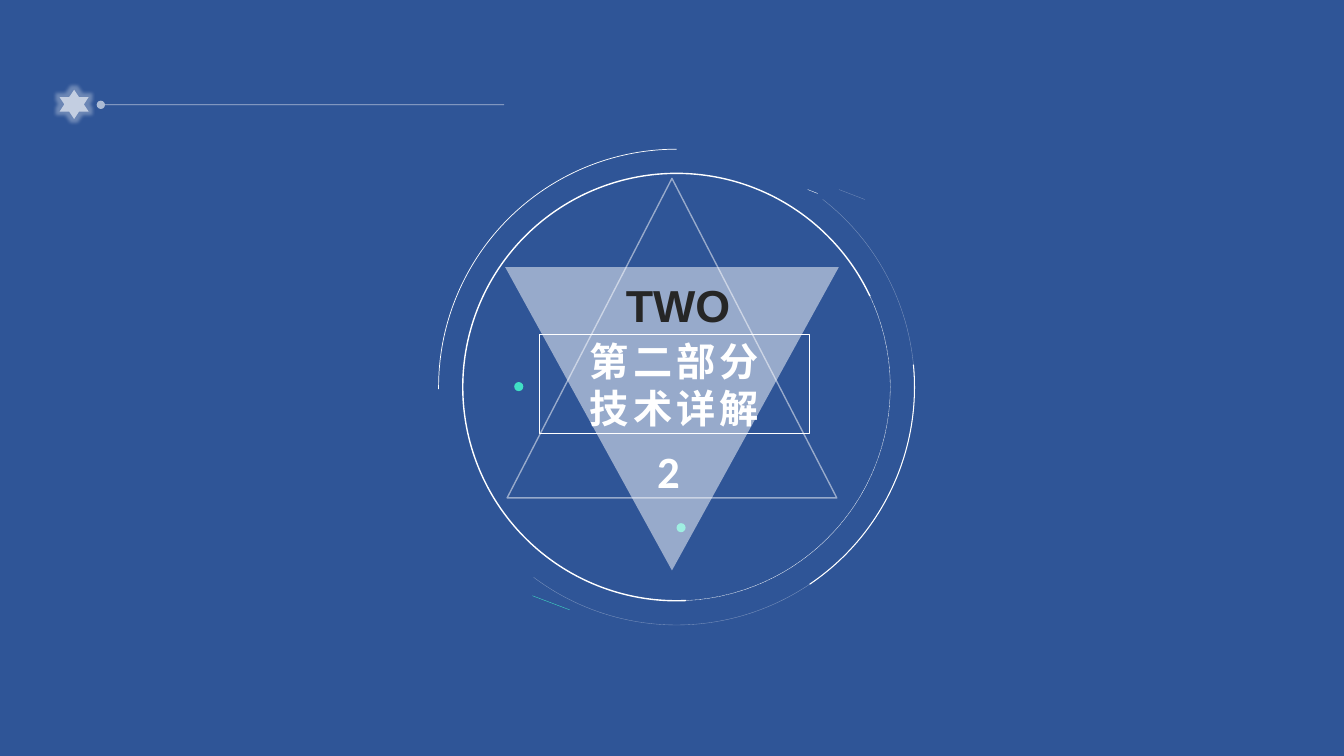
from lxml import etree
from pptx import Presentation
from pptx import util as u
from pptx.dml.color import RGBColor
from pptx.enum import dml, shapes, text
from pptx.oxml.ns import qn

WHITE = RGBColor(0xFF, 0xFF, 0xFF)
BLUE = RGBColor(0x2F, 0x55, 0x97)
MINT = RGBColor(0x40, 0xE0, 0xC5)
DARK = RGBColor(0x26, 0x26, 0x26)

CELL = u.Inches(0.1)
CENTRE = (67.1, 38.4)
INNER, OUTER = 21.2, 23.6
DOT = 0.45


def cells(*counts):
    """Turn counts of grid cells into lengths."""
    return [u.Emu(round(n * CELL)) for n in counts]


def set_alpha(colour_parent, percent):
    """Make a solid colour partly transparent."""
    if percent < 100:
        colour = next(colour_parent.iter(qn("a:srgbClr")))
        etree.SubElement(colour, qn("a:alpha"), val=str(percent * 1000))


def style_line(sp, colour, width, alpha=100):
    """Format the line of a shape or connector."""
    sp.line.color.rgb = colour
    sp.line.width = u.Pt(width)
    set_alpha(sp.line._ln, alpha)


def add_outline(s, kind, box, width, alpha=100):
    """Add an unfilled white shape."""
    sp = s.shapes.add_shape(kind, *cells(*box))
    sp.shadow.inherit = False
    sp.fill.background()
    style_line(sp, WHITE, width, alpha)
    return sp


def add_solid(s, kind, box, colour, alpha=100):
    """Add a filled shape without a line."""
    sp = s.shapes.add_shape(kind, *cells(*box))
    sp.shadow.inherit = False
    sp.fill.solid()
    sp.fill.fore_color.rgb = colour
    sp.line.fill.background()
    set_alpha(sp._element.spPr.find(qn("a:solidFill")), alpha)
    return sp


def circle_box(x, y, radius):
    """Return the box around a circle."""
    return x - radius, y - radius, 2 * radius, 2 * radius


def add_arc(s, radius, start, end, width, alpha=100):
    """Add a ring segment between two angles in degrees."""
    sp = add_outline(s, shapes.MSO_SHAPE.ARC, circle_box(*CENTRE, radius), width, alpha)
    for i, degrees in enumerate((start, end)):
        sp.adjustments[i] = degrees * 0.6
    return sp


def add_line(s, ends, colour, width, alpha=100):
    """Add a straight line."""
    sp = s.shapes.add_connector(shapes.MSO_CONNECTOR.STRAIGHT, *cells(*ends))
    style_line(sp, colour, width, alpha)
    etree.SubElement(sp._element.spPr, qn("a:effectLst"))
    return sp


def add_glow(sp, radius, alpha):
    """Put a soft white glow around a shape."""
    effects = sp._element.spPr.find(qn("a:effectLst"))
    glow = etree.SubElement(effects, qn("a:glow"), rad=str(u.Pt(radius)))
    colour = etree.SubElement(glow, qn("a:srgbClr"), val=str(WHITE))
    etree.SubElement(colour, qn("a:alpha"), val=str(alpha * 1000))


def format_text(tf, font, size, colour, spacing=0):
    """Centre the text and format its runs."""
    tf.word_wrap = True
    for p in tf.paragraphs:
        p.alignment = text.PP_ALIGN.CENTER
        for r in p.runs:
            r.font.name = font
            r.font.size = u.Pt(size)
            r.font.bold = True
            r.font.color.rgb = colour
            rPr = r._r.get_or_add_rPr()
            etree.SubElement(rPr, qn("a:ea"), typeface=font)
            if spacing:
                rPr.set("spc", str(spacing * 100))


def add_label(s, box, words, font, colour):
    """Add a large centred text box."""
    sp = s.shapes.add_textbox(*cells(*box))
    sp.text_frame.text = words
    format_text(sp.text_frame, font, 32, colour)


def add_header(s):
    """Draw the star and the line at the top left."""
    rule = add_line(s, (50, 10.4, 10, 10.4), WHITE, 0.5, 60)
    etree.SubElement(rule.line._ln, qn("a:tailEnd"), type="oval")
    star = add_solid(s, shapes.MSO_SHAPE.STAR_6_POINT, (5.9, 8.9, 2.9, 2.9), WHITE, 60)
    add_glow(star, 5, 30)


def add_rings(s):
    """Draw the ring segments and the short dashes around them."""
    add_arc(s, INNER, 87.4, 334.8, 1)
    dotted = add_arc(s, INNER, 330.8, 96.9, 0.25)
    dotted.line.dash_style = dml.MSO_LINE.ROUND_DOT
    quarter = add_arc(s, OUTER, 270, 0.5, 0.5)
    quarter._element.spPr.xfrm.set("flipH", "1")
    add_arc(s, OUTER, 307.9, 126.9, 0.25, 36)
    add_arc(s, OUTER, 354.6, 56, 0.75)
    add_line(s, (52.8, 59.1, 56.5, 60.5), MINT, 0.25)
    add_line(s, (83.2, 18.8, 85.8, 19.8), WHITE, 0.25, 30)
    add_line(s, (80.1, 18.8, 81.1, 19.2), WHITE, 0.25)


def add_triangles(s):
    """Draw the dots and the two crossed triangles."""
    for x, y in ((67.55, 52.35), (51.45, 38.35)):
        add_solid(s, shapes.MSO_SHAPE.OVAL, circle_box(x, y, DOT), MINT)
    triangle = shapes.MSO_SHAPE.ISOSCELES_TRIANGLE
    add_outline(s, triangle, (50.3, 17.7, 32.7, 31.7), 1, 50)
    pointer = add_solid(s, triangle, (50.1, 26.5, 33.1, 30.1), WHITE, 50)
    pointer._element.spPr.xfrm.set("flipV", "1")


def set_title(s, box, words):
    """Frame the title and bring it to the front."""
    sp = s.shapes.title
    sp.left, sp.top, sp.width, sp.height = cells(*box)
    style_line(sp, WHITE, 1)
    tf = sp.text_frame
    tf.text = words
    tf.auto_size = text.MSO_AUTO_SIZE.NONE
    tf.vertical_anchor = text.MSO_ANCHOR.MIDDLE
    format_text(tf, "Noto Sans CJK SC", 28, WHITE, 3)
    s.shapes._spTree.append(sp._element)


def main():
    """Build the section slide."""
    prs = Presentation()
    prs.slide_width, prs.slide_height = cells(133.3, 75)
    s = prs.slides.add_slide(prs.slide_layouts[5])
    s.background.fill.solid()
    s.background.fill.fore_color.rgb = BLUE
    add_header(s)
    add_rings(s)
    add_triangles(s)
    add_label(s, (60.1, 43.5, 12.4, 6.4), "2", "Calibri", WHITE)
    add_label(s, (51.3, 27.1, 31.9, 6.4), "TWO", "Arial", DARK)
    set_title(s, (53.5, 33.2, 26.8, 9.8), "第二部分\n技术详解")
    prs.save("out.pptx")


if __name__ == "__main__":
    main()
